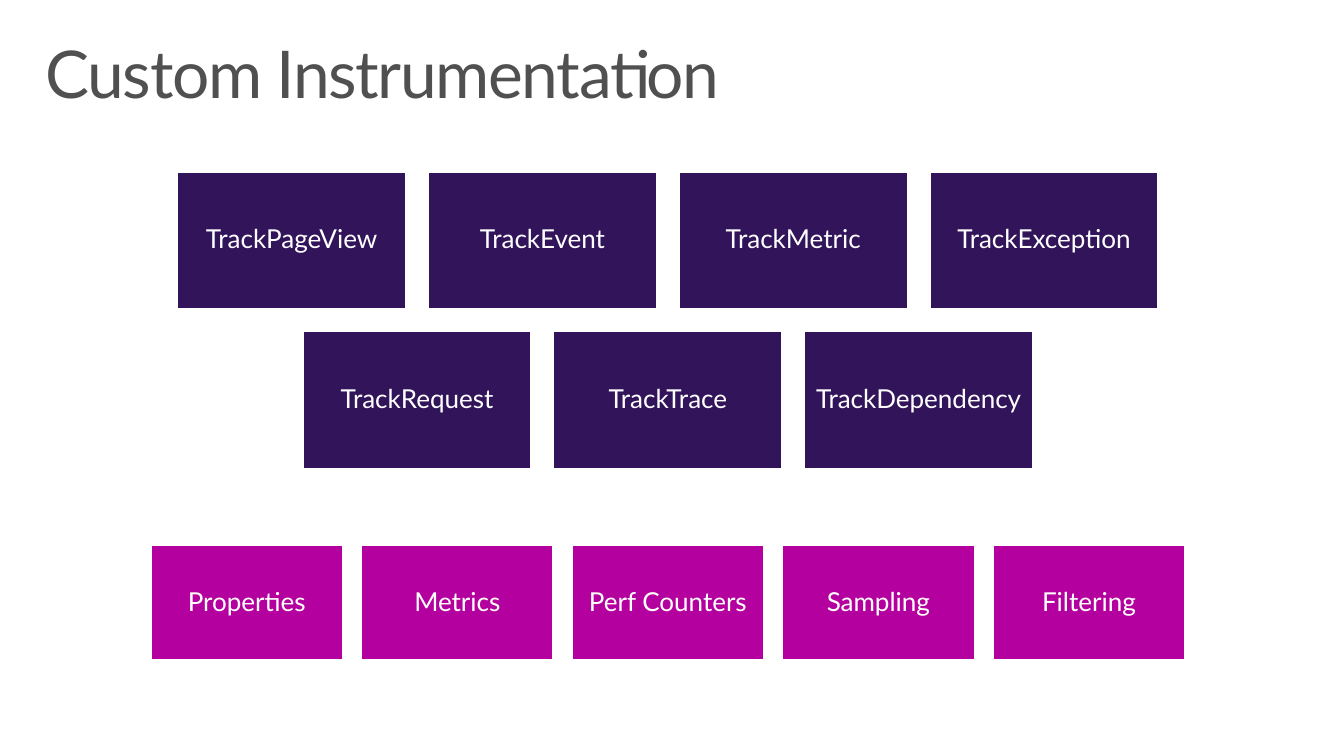
"""Build the Custom Instrumentation slide: rows of centred boxes under a title."""
import pptx
import pptx.dml.color
import pptx.enum.shapes
import pptx.enum.text
import pptx.util

Pt = pptx.util.Pt
RGBColor = pptx.dml.color.RGBColor
ALIGN = pptx.enum.text.PP_ALIGN
ANCHOR = pptx.enum.text.MSO_ANCHOR

WHITE = RGBColor(0xFF, 0xFF, 0xFF)
GREY = RGBColor(0x50, 0x50, 0x50)
INDIGO = RGBColor(0x32, 0x14, 0x5A)
MAGENTA = RGBColor(0xB4, 0x00, 0x9E)

TITLE = "Custom Instrumentation"
TRACK_BOX = {"width": 166.1, "height": 99.4, "gap": 16.6, "fill": INDIGO}
OPTION_BOX = {"width": 139.5, "height": 83.5, "gap": 13.9, "fill": MAGENTA}
ROWS = [
    (125.3, TRACK_BOX, ["TrackPageView", "TrackEvent", "TrackMetric", "TrackException"]),
    (241.7, TRACK_BOX, ["TrackRequest", "TrackTrace", "TrackDependency"]),
    (397.4, OPTION_BOX, ["Properties", "Metrics", "Perf Counters", "Sampling", "Filtering"]),
]
ROW_CENTRE = 486.6


def set_text(sp, text, *, size, color, align, anchor, inset, spacing=0):
    tf = sp.text_frame
    tf.word_wrap = True
    tf.vertical_anchor = anchor
    tf.margin_left = tf.margin_right = Pt(inset[0])
    tf.margin_top = tf.margin_bottom = Pt(inset[1])
    p = tf.paragraphs[0]
    p.alignment = align
    p.line_spacing = 0.9
    r = p.add_run()
    r.text = text
    r.font.name = "Lato"
    r.font.size = Pt(size)
    r.font.color.rgb = color
    if spacing:
        r.font._element.set("spc", str(int(spacing * 100)))


def add_row(s, top, box, labels):
    pitch = box["width"] + box["gap"]
    left = ROW_CENTRE - (len(labels) * pitch - box["gap"]) / 2
    for i, label in enumerate(labels):
        sp = s.shapes.add_shape(
            pptx.enum.shapes.MSO_SHAPE.RECTANGLE,
            Pt(left + i * pitch), Pt(top), Pt(box["width"]), Pt(box["height"]))
        sp.shadow.inherit = False
        sp.fill.solid()
        sp.fill.fore_color.rgb = box["fill"]
        sp.line.color.rgb = WHITE
        sp.line.width = Pt(0.85)
        set_text(sp, label, size=19, color=WHITE, align=ALIGN.CENTER,
                 anchor=ANCHOR.MIDDLE, inset=(5.8, 5.8))


def main():
    prs = pptx.Presentation()
    prs.slide_width, prs.slide_height = Pt(979.2), Pt(550.8)
    s = prs.slides.add_slide(prs.slide_layouts[6])
    title = s.shapes.add_textbox(Pt(21.6), Pt(23), Pt(936), Pt(72))
    set_text(title, TITLE, size=48, color=GREY, align=ALIGN.LEFT,
             anchor=ANCHOR.TOP, inset=(11.5, 7.2), spacing=-1)
    for top, box, labels in ROWS:
        add_row(s, top, box, labels)
    prs.save("out.pptx")


if __name__ == "__main__":
    main()
